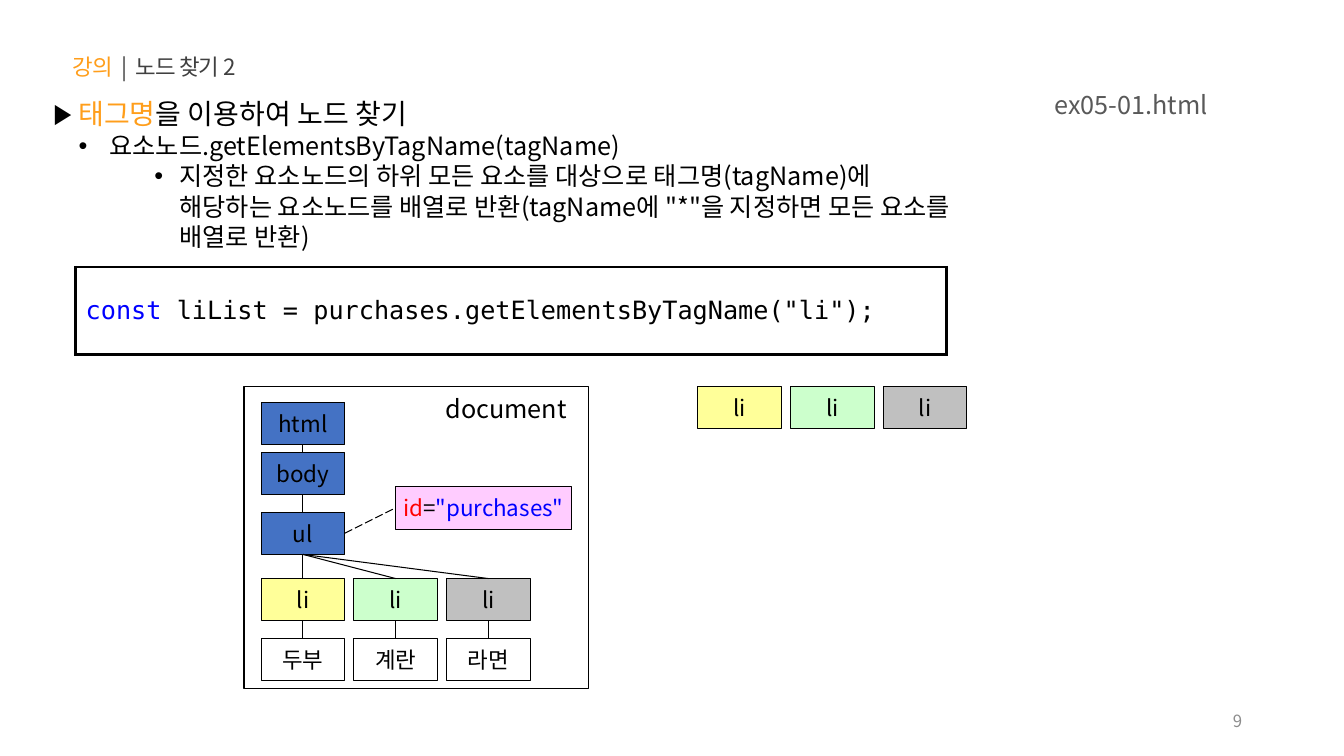
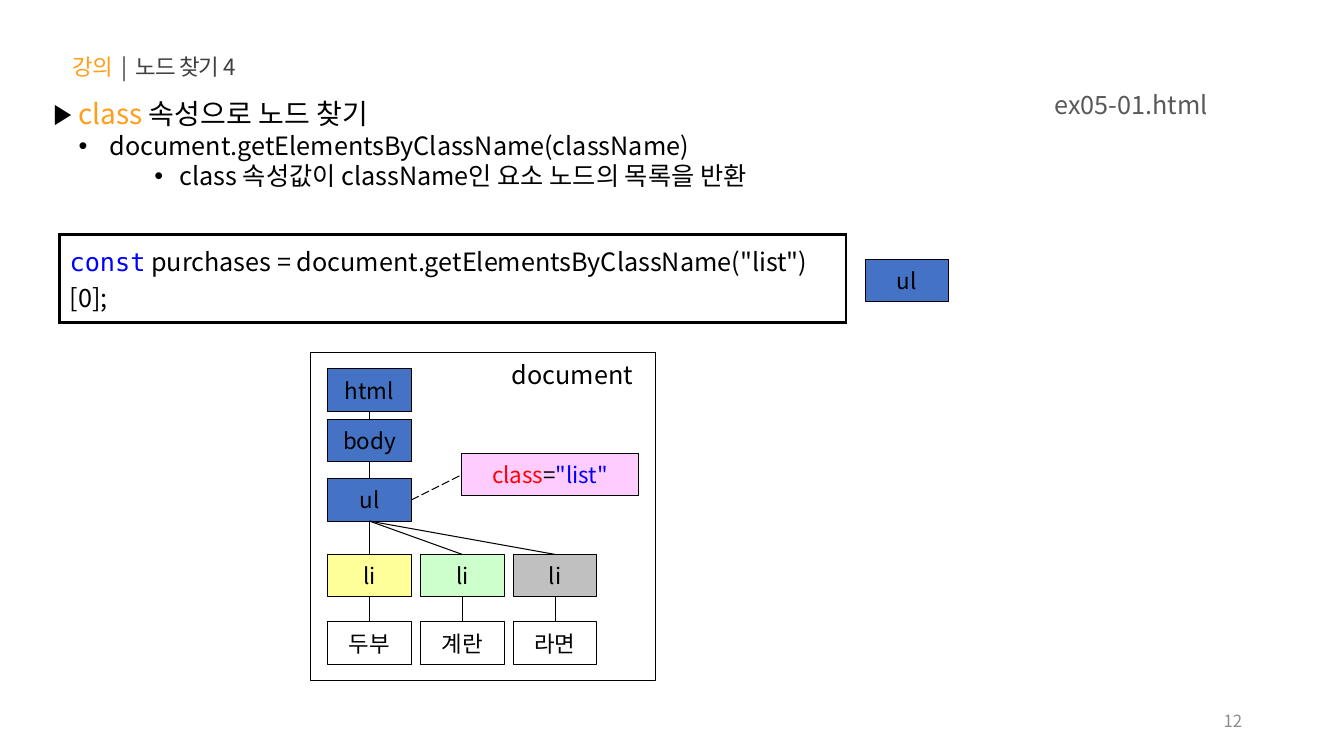
from dataclasses import dataclass

from lxml import etree
from pptx import Presentation
from pptx.dml.color import RGBColor
from pptx.enum.dml import MSO_LINE
from pptx.enum.shapes import MSO_CONNECTOR, MSO_SHAPE
from pptx.enum.text import MSO_ANCHOR, MSO_AUTO_SIZE, PP_ALIGN
from pptx.oxml.ns import qn
from pptx.util import Inches, Pt

LEFT, CENTER, RIGHT = PP_ALIGN.LEFT, PP_ALIGN.CENTER, PP_ALIGN.RIGHT
TOP, MIDDLE = MSO_ANCHOR.TOP, MSO_ANCHOR.MIDDLE
NO_AUTOFIT = MSO_AUTO_SIZE.NONE
RECTANGLE = MSO_SHAPE.RECTANGLE
STRAIGHT = MSO_CONNECTOR.STRAIGHT
LONG_DASH = MSO_LINE.LONG_DASH
SIDE_TOP, SIDE_LEFT, SIDE_BOTTOM, SIDE_RIGHT = range(4)


@dataclass(frozen=True)
class Theme:
    font: str = "Noto Sans CJK KR"
    code_font: str = "DejaVu Sans Mono"
    black: str = "000000"
    white: str = "FFFFFF"
    accent: str = "FF9E1B"
    title: str = "404040"
    file_name: str = "595959"
    page: str = "8C8C8C"
    keyword: str = "0000FF"
    attribute: str = "FF0000"
    attribute_fill: str = "FFCCFF"
    element_fill: str = "4472C4"
    item_fills: tuple = ("FFFF99", "CCFFCC", "C0C0C0")
    heading_size: int = 20
    body_size: int = 18
    label_size: int = 16
    page_size: int = 12
    thin: float = 0.75
    thick: float = 2.25


THEME = Theme()
NODE_WIDTH, NODE_HEIGHT, NODE_PITCH = 0.83, 0.42, 0.92
BULLETS = (("▶", 0, 0), ("•", 0.5, -0.25), ("•", 1.25, -0.25))
PRODUCTS = ("두부", "계란", "라면")


def color(value):
    return RGBColor.from_string(value)


def add_run(paragraph, text, size, fill=THEME.black, font=THEME.font, spacing=None):
    run = paragraph.add_run()
    run.text = text
    run.font.size = Pt(size)
    run.font.name = font
    run.font.color.rgb = color(fill)
    properties = run.font._element
    for tag in ("a:ea", "a:cs"):
        etree.SubElement(properties, qn(tag), typeface=font)
    if spacing is not None:
        properties.set("spc", str(spacing))


def disable_kerning(frame):
    for paragraph in frame.paragraphs:
        for run in paragraph.runs:
            run.font._element.set("kern", "0")


def place(shape, left, top, width, height):
    shape.left, shape.top = Inches(left), Inches(top)
    shape.width, shape.height = Inches(width), Inches(height)


def prepare_frame(shape, anchor=TOP, wrap=True):
    frame = shape.text_frame
    frame.auto_size = NO_AUTOFIT
    frame.word_wrap = wrap
    frame.vertical_anchor = anchor
    return frame


def add_label(slide, box, text, size, fill, align=LEFT, anchor=TOP):
    shape = slide.shapes.add_textbox(*map(Inches, box))
    paragraph = prepare_frame(shape, anchor).paragraphs[0]
    paragraph.alignment = align
    add_run(paragraph, text, size, fill)


def set_title(slide, text):
    title = slide.shapes.title
    place(title, 0.62, 0.48, 5.15, 0.37)
    frame = prepare_frame(title)
    paragraph = frame.paragraphs[0]
    paragraph.alignment = LEFT
    add_run(paragraph, "강의  ", THEME.label_size, THEME.accent, spacing=-60)
    add_run(paragraph, "|  " + text, THEME.label_size, THEME.title, spacing=-60)
    disable_kerning(frame)


def set_bullet(paragraph, level):
    character, margin, indent = BULLETS[level]
    paragraph.level = level
    paragraph.alignment = LEFT
    paragraph.space_before = Pt(0)
    paragraph.line_spacing = 1.0
    properties = paragraph._p.get_or_add_pPr()
    properties.set("marL", str(Inches(margin)))
    properties.set("indent", str(Inches(indent)))
    etree.SubElement(properties, qn("a:buChar"), char=character)


def set_body(slide, height, heading, details):
    body = slide.placeholders[1]
    place(body, 0.43, 0.91, 9.14, height)
    frame = prepare_frame(body)
    paragraph = frame.paragraphs[0]
    set_bullet(paragraph, 0)
    highlight, rest = heading
    add_run(paragraph, " ", THEME.heading_size)
    add_run(paragraph, highlight, THEME.heading_size, THEME.accent)
    add_run(paragraph, rest, THEME.heading_size)
    for level, text in enumerate(details, 1):
        paragraph = frame.add_paragraph()
        set_bullet(paragraph, level)
        add_run(paragraph, text, THEME.body_size)
    disable_kerning(frame)


def add_cell_borders(cell):
    properties = cell._tc.get_or_add_tcPr()
    for index, side in enumerate(("a:lnL", "a:lnR", "a:lnT", "a:lnB")):
        line = etree.Element(qn(side), w=str(Pt(THEME.thick)))
        fill = etree.SubElement(line, qn("a:solidFill"))
        etree.SubElement(fill, qn("a:srgbClr"), val=THEME.black)
        properties.insert(index, line)


def add_code(slide, left, top, width, code, font):
    height = 0.87
    table = slide.shapes.add_table(1, 1, *map(Inches, (left, top, width, height))).table
    table.first_row = False
    table.horz_banding = False
    cell = table.cell(0, 0)
    cell.fill.background()
    cell.vertical_anchor = MIDDLE
    add_cell_borders(cell)
    paragraph = cell.text_frame.paragraphs[0]
    paragraph.space_before = Pt(3.6)
    add_run(paragraph, "const", THEME.body_size, THEME.keyword, THEME.code_font)
    add_run(paragraph, code, THEME.body_size, font=font)


def add_box(slide, left, top, width, height, fill=None):
    shape = slide.shapes.add_shape(RECTANGLE, *map(Inches, (left, top, width, height)))
    shape.shadow.inherit = False
    shape.line.color.rgb = color(THEME.black)
    shape.line.width = Pt(THEME.thin)
    if fill:
        shape.fill.solid()
        shape.fill.fore_color.rgb = color(fill)
    else:
        shape.fill.background()
    return shape


def add_node(slide, left, top, runs, fill, width=NODE_WIDTH):
    shape = add_box(slide, left, top, width, NODE_HEIGHT, fill)
    paragraph = prepare_frame(shape, MIDDLE, wrap=False).paragraphs[0]
    paragraph.alignment = CENTER
    for text, text_color in runs:
        add_run(paragraph, text, THEME.label_size, text_color)
    return shape


def add_element(slide, left, top, name):
    return add_node(slide, left, top, [(name, THEME.black)], THEME.element_fill)


def add_row(slide, left, top, names, fills):
    return [
        add_node(slide, left + index * NODE_PITCH, top, [(name, THEME.black)], fill)
        for index, (name, fill) in enumerate(zip(names, fills))
    ]


def add_items(slide, left, top):
    return add_row(slide, left, top, ["li"] * 3, THEME.item_fills)


def connect(slide, start, end, start_side=SIDE_BOTTOM, end_side=SIDE_TOP, dash=None):
    connector = slide.shapes.add_connector(STRAIGHT, 0, 0, 0, 0)
    connector.begin_connect(start, start_side)
    connector.end_connect(end, end_side)
    connector.line.color.rgb = color(THEME.black)
    connector.line.width = Pt(THEME.thin)
    if dash is not None:
        connector.line.dash_style = dash
    etree.SubElement(connector._element.spPr, qn("a:effectLst"))


def add_tree(slide, left, top, height, items_offset, leaves_offset, attribute, value):
    add_box(slide, left, top, 3.42, height)
    add_label(slide, (left + 1.9, top + 0.02, 1.47, 0.4), "document",
              THEME.body_size, THEME.black)
    node_left = left + 0.17
    html, body, ul = [
        add_element(slide, node_left, top + offset, name)
        for name, offset in (("html", 0.16), ("body", 0.66), ("ul", 1.25))
    ]
    tag = add_node(
        slide, left + 1.5, top + 1,
        [(attribute, THEME.attribute), ("=", THEME.black), (value, THEME.keyword)],
        THEME.attribute_fill, 1.75,
    )
    items = add_items(slide, node_left, top + items_offset)
    leaves = add_row(slide, node_left, top + leaves_offset, PRODUCTS, [THEME.white] * 3)
    connect(slide, html, body)
    connect(slide, body, ul)
    for item, leaf in zip(items, leaves):
        connect(slide, ul, item)
        connect(slide, item, leaf)
    connect(slide, ul, tag, SIDE_RIGHT, SIDE_LEFT, LONG_DASH)


def add_lecture_slide(presentation, title, page):
    slide = presentation.slides.add_slide(presentation.slide_layouts[1])
    set_title(slide, title)
    add_label(slide, (8.08, 0.84, 4, 0.4), "ex05-01.html",
              THEME.body_size, THEME.file_name, RIGHT)
    add_label(slide, (9.42, 6.95, 3, 0.4), page,
              THEME.page_size, THEME.page, RIGHT, MIDDLE)
    return slide


def build_tag_name_slide(presentation):
    slide = add_lecture_slide(presentation, "노드 찾기 2", "9")
    set_body(slide, 1.64, ("태그명", "을 이용하여 노드 찾기"), (
        " 요소노드.getElementsByTagName(tagName)",
        "지정한 요소노드의 하위 모든 요소를 대상으로 태그명(tagName)에 해당하는 "
        "요소노드를 배열로 반환(tagName에 \"*\"을 지정하면 모든 요소를 배열로 반환)",
    ))
    add_code(slide, 0.75, 2.65, 8.64,
             " liList = purchases.getElementsByTagName(\"li\");", THEME.code_font)
    add_tree(slide, 2.42, 3.83, 3, 1.91, 2.5, "id", "\"purchases\"")
    add_items(slide, 6.92, 3.83)


def build_class_name_slide(presentation):
    slide = add_lecture_slide(presentation, "노드 찾기 4", "12")
    set_body(slide, 1.03, ("class ", "속성으로 노드 찾기"), (
        " document.getElementsByClassName(className)",
        "class 속성값이 className인 요소 노드의 목록을 반환",
    ))
    add_code(slide, 0.59, 2.33, 7.8,
             " purchases = document.getElementsByClassName(\"list\")[0];", THEME.font)
    add_element(slide, 8.58, 2.57, "ul")
    add_tree(slide, 3.08, 3.5, 3.25, 2, 2.67, "class", "\"list\"")


def main():
    presentation = Presentation()
    presentation.slide_width = Inches(13.33)
    presentation.slide_height = Inches(7.5)
    build_tag_name_slide(presentation)
    build_class_name_slide(presentation)
    presentation.save("out.pptx")


if __name__ == "__main__":
    main()
